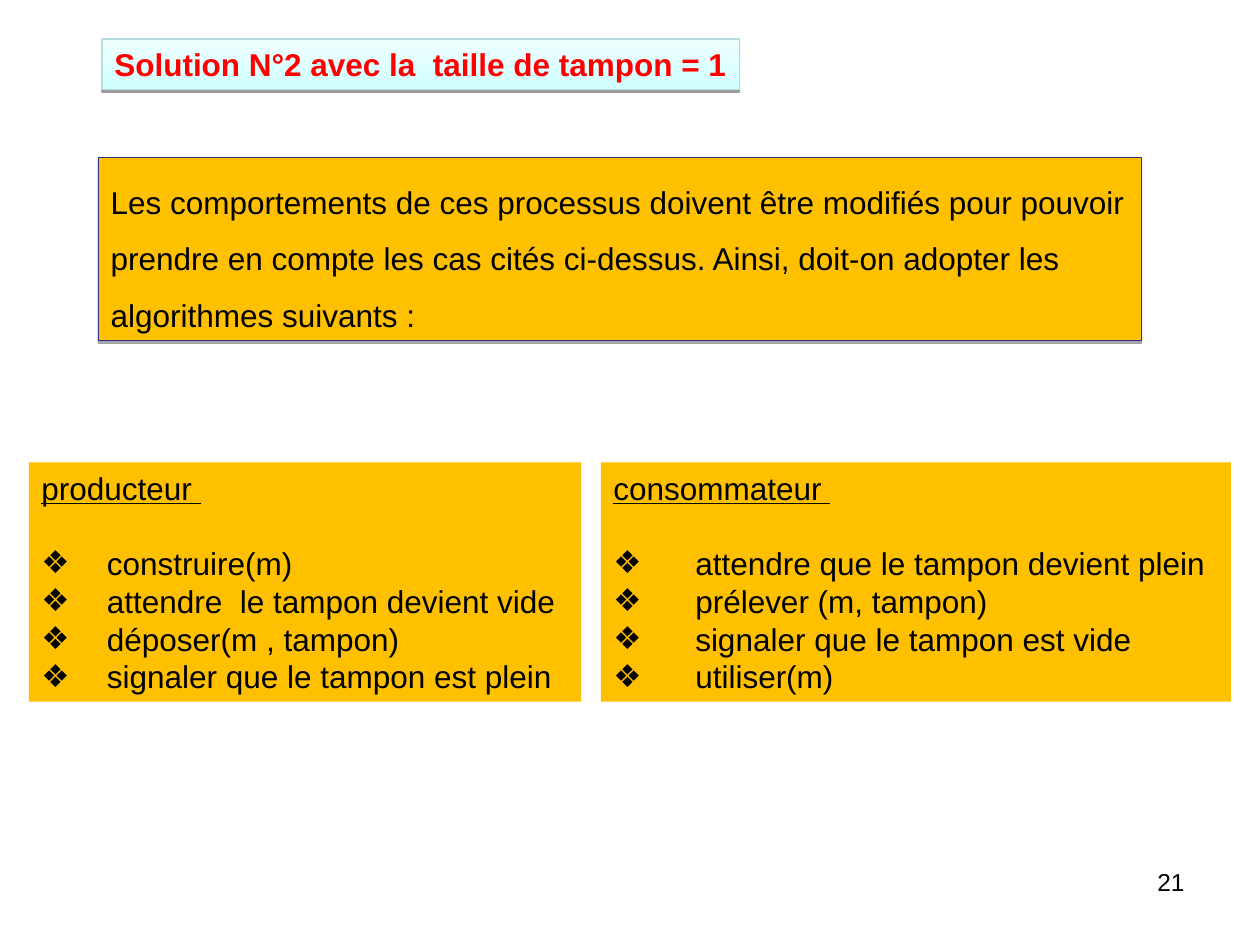
from dataclasses import dataclass

import pptx
import pptx.dml.color
import pptx.enum.shapes
import pptx.enum.text
import pptx.oxml
import pptx.oxml.ns
import pptx.util
from pptx.util import Inches

FONT = "Arial"
HUES = {
    "black": "000000",
    "red": "FF0000",
    "gold": "FFC000",
    "navy": "2F2F98",
    "pale": "F0FFFF",
    "aqua": "CFFFFF",
    "teal": "B6DCDF",
}


@dataclass
class Box:
    left: float
    top: float
    width: float
    height: float


@dataclass
class Panel:
    box: Box
    title: str
    steps: list[str]
    indent: float


PANELS = [
    Panel(
        Box(0.23, 3.67, 4.38, 1.9),
        "producteur ",
        [
            "construire(m)",
            "attendre  le tampon devient vide",
            "déposer(m , tampon)",
            "signaler que le tampon est plein",
        ],
        0.52,
    ),
    Panel(
        Box(4.77, 3.67, 5, 1.9),
        "consommateur ",
        [
            "attendre que le tampon devient plein",
            "prélever (m, tampon)",
            "signaler que le tampon est vide",
            "utiliser(m)",
        ],
        0.65,
    ),
]


def hue(name: str) -> pptx.dml.color.RGBColor:
    return pptx.dml.color.RGBColor.from_string(HUES[name])


def style(para, size: int = 18, color: str = "black", bold: bool = False) -> None:
    for run in para.runs:
        run.font.name = FONT
        run.font.size = pptx.util.Pt(size)
        run.font.bold = bold
        run.font.color.rgb = hue(color)


def place(box: Box) -> tuple:
    return tuple(Inches(n) for n in (box.left, box.top, box.width, box.height))


def draw_box(slide, box: Box, edge: str = ""):
    shape = slide.shapes.add_shape(
        pptx.enum.shapes.MSO_SHAPE.RECTANGLE, *place(box))
    shape.shadow.inherit = False
    shape.fill.solid()
    shape.fill.fore_color.rgb = hue("gold")
    if edge:
        shape.line.color.rgb = hue(edge)
        shape.line.width = pptx.util.Pt(0.75)
    else:
        shape.line.fill.background()
    frame = shape.text_frame
    frame.word_wrap = True
    frame.vertical_anchor = pptx.enum.text.MSO_ANCHOR.TOP
    return shape


def shade(shape, drop: float, alpha: int) -> None:
    space = pptx.oxml.ns.nsdecls("a")
    list_el = shape.element.spPr.find(pptx.oxml.ns.qn("a:effectLst"))
    list_el.append(pptx.oxml.parse_xml(
        f'<a:outerShdw {space} blurRad="0" dist="{pptx.util.Pt(drop)}" '
        f'dir="5400000" rotWithShape="0"><a:srgbClr val="{HUES["black"]}">'
        f'<a:alpha val="{alpha * 1000}"/></a:srgbClr></a:outerShdw>'))


def add_mark(para, indent: float) -> None:
    props = para._p.get_or_add_pPr()
    props.set("marL", str(Inches(indent)))
    props.set("indent", str(-Inches(indent)))
    space = pptx.oxml.ns.nsdecls("a")
    for part in (
        f'<a:buClr {space}><a:srgbClr val="{HUES["black"]}"/></a:buClr>',
        f'<a:buFont {space} typeface="{FONT}"/>',
        f'<a:buChar {space} char="❖"/>',
    ):
        props.append(pptx.oxml.parse_xml(part))


def draw_panel(slide, panel: Panel) -> None:
    frame = draw_box(slide, panel.box).text_frame
    frame.text = "\n".join([panel.title, *panel.steps])
    for rank, para in enumerate(frame.paragraphs):
        if rank:
            add_mark(para, panel.indent)
        if rank == 1:
            para.space_before = pptx.util.Pt(21.5)
        para.alignment = pptx.enum.text.PP_ALIGN.LEFT
        style(para)
    frame.paragraphs[0].runs[0].font.underline = True


def draw_intro(slide) -> None:
    shape = draw_box(slide, Box(0.78, 1.25, 8.28, 1.45), "navy")
    shade(shape, 1.8, 35)
    shape.text_frame.text = (
        "Les comportements de ces processus doivent être modifiés pour pouvoir "
        "prendre en compte les cas cités ci-dessus. Ainsi, doit-on adopter les "
        "algorithmes suivants :")
    para = shape.text_frame.paragraphs[0]
    para.alignment = pptx.enum.text.PP_ALIGN.LEFT
    para.line_spacing = 1.5
    style(para)


def draw_title(slide) -> None:
    shape = draw_box(slide, Box(0.81, 0.31, 5.06, 0.4), "teal")
    shade(shape, 1.6, 38)
    shape.fill.gradient()
    shape.fill.gradient_angle = 270
    for stop, name, pos in zip(
            shape.fill.gradient_stops, ("pale", "aqua"), (0, 1)):
        stop.color.rgb = hue(name)
        stop.position = pos
    shape.text_frame.word_wrap = False
    shape.text_frame.text = "Solution N°2 avec la  taille de tampon = 1"
    para = shape.text_frame.paragraphs[0]
    para.alignment = pptx.enum.text.PP_ALIGN.LEFT
    style(para, color="red", bold=True)


def draw_page(slide) -> None:
    frame = slide.shapes.add_textbox(
        *place(Box(7.17, 6.83, 2.33, 0.52))).text_frame
    frame.word_wrap = True
    frame.text = "21"
    frame.paragraphs[0].alignment = pptx.enum.text.PP_ALIGN.RIGHT
    style(frame.paragraphs[0], size=14)


def main() -> None:
    deck = pptx.Presentation()
    deck.slide_width = Inches(10)
    deck.slide_height = Inches(7.5)
    slide = deck.slides.add_slide(deck.slide_layouts[6])
    draw_page(slide)
    draw_intro(slide)
    draw_title(slide)
    for panel in PANELS:
        draw_panel(slide, panel)
    deck.save("out.pptx")


if __name__ == "__main__":
    main()
